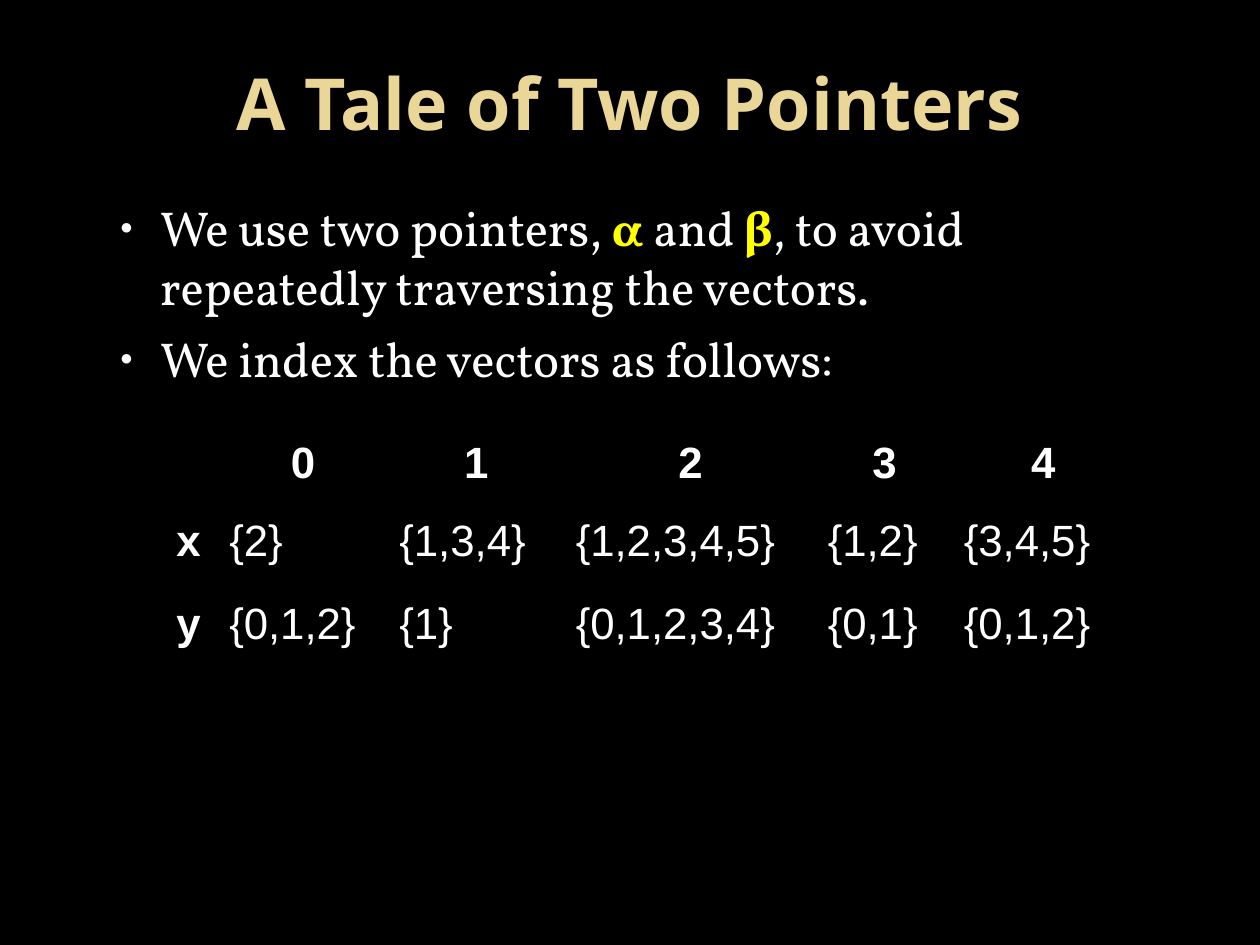
from lxml import etree
from pptx import Presentation
from pptx.dml.color import RGBColor
from pptx.enum.text import MSO_ANCHOR, MSO_AUTO_SIZE, PP_ALIGN
from pptx.oxml.ns import qn
from pptx.util import Pt

MIDDLE, TOP = MSO_ANCHOR.MIDDLE, MSO_ANCHOR.TOP
CENTER, LEFT = PP_ALIGN.CENTER, PP_ALIGN.LEFT
NO_AUTOFIT = MSO_AUTO_SIZE.NONE

# Content: each bullet is a list of (text, is a pointer name)
TITLE = "A Tale of Two Pointers"
BULLETS = [
    [("We use two pointers, ", False), ("α", True), (" and ", False), ("β", True),
     (", to avoid repeatedly traversing the vectors.", False)],
    [("We index the vectors as follows:", False)],
]
VECTORS = [
    ["", "0", "1", "2", "3", "4"],
    ["x", "{2}", "{1,3,4}", "{1,2,3,4,5}", "{1,2}", "{3,4,5}"],
    ["y", "{0,1,2}", "{1}", "{0,1,2,3,4}", "{0,1}", "{0,1,2}"],
]

THEME = {
    "background": "000000", "title": "EAD696", "text": "FFFFFF",
    "pointer": "FFFF00", "bullet": "F9F9F9", "border": "000000",
    "title_font": "Open Sans", "body_font": "Vollkorn", "table_font": "Arial",
    "title_size": 41, "body_size": 28, "table_size": 25,
    "outer_border": 2.25, "inner_border": 1,
}

# Layout in points: left, top, width, height
TITLE_BOX = (54, 12.24, 612, 90)
BODY_BOX = (54, 108, 612, 131.76)
TABLE_ORIGIN = (94.32, 246.24)
COLUMN_WIDTHS = [30.24, 97.2, 100.8, 144, 77.76, 103.68]
ROW_HEIGHTS = [41.04, 47.52, 47.52]


def rgb(name):
    return RGBColor.from_string(THEME[name])


def style_font(font, role, color, bold):
    font.name = THEME[role + "_font"]
    font.size = Pt(THEME[role + "_size"])
    font.color.rgb = rgb(color)
    font.bold = bold


def place(placeholder, box, top_inset, anchor):
    placeholder.left, placeholder.top, placeholder.width, placeholder.height = map(Pt, box)
    frame = placeholder.text_frame
    frame.auto_size, frame.word_wrap, frame.vertical_anchor = NO_AUTOFIT, True, anchor
    frame.margin_left = frame.margin_right = Pt(6.5)
    frame.margin_top, frame.margin_bottom = Pt(top_inset), Pt(3.6)
    return frame


def add_bullet(paragraph):
    props = paragraph._p.get_or_add_pPr()
    props.set("marL", str(Pt(31)))
    props.set("indent", str(Pt(-23)))
    color = etree.SubElement(props, qn("a:buClr"))
    etree.SubElement(color, qn("a:srgbClr"), val=THEME["bullet"])
    etree.SubElement(props, qn("a:buSzPct"), val="45000")
    etree.SubElement(props, qn("a:buChar"), char="●")


def set_borders(cell, row, column):
    on_edge = {
        "a:lnL": column == 0, "a:lnR": column == len(COLUMN_WIDTHS) - 1,
        "a:lnT": row == 0, "a:lnB": row == len(ROW_HEIGHTS) - 1,
    }
    props = cell._tc.get_or_add_tcPr()
    for tag, outer in on_edge.items():
        width = THEME["outer_border" if outer else "inner_border"]
        line = etree.SubElement(props, qn(tag), w=str(Pt(width)))
        fill = etree.SubElement(line, qn("a:solidFill"))
        etree.SubElement(fill, qn("a:srgbClr"), val=THEME["border"])


def fill_cell(cell, row, column, label):
    set_borders(cell, row, column)
    cell.fill.background()
    cell.vertical_anchor = MIDDLE
    cell.margin_left = cell.margin_right = Pt(6.5)
    cell.margin_top, cell.margin_bottom = Pt(1.5), Pt(3.6)
    cell.text_frame.text = label
    paragraph = cell.text_frame.paragraphs[0]
    paragraph.alignment = CENTER if row == 0 else LEFT
    paragraph.line_spacing = 0.93
    style_font(paragraph.font, "table", "text", None)
    for run in paragraph.runs:
        style_font(run.font, "table", "text", row == 0 or column == 0)


def main():
    deck = Presentation()
    deck.slide_width, deck.slide_height = Pt(720), Pt(540)
    slide = deck.slides.add_slide(deck.slide_layouts[1])
    slide.background.fill.solid()
    slide.background.fill.fore_color.rgb = rgb("background")

    # Title
    heading = place(slide.shapes.title, TITLE_BOX, 5.8, MIDDLE)
    heading.text = TITLE
    heading.paragraphs[0].alignment = CENTER
    style_font(heading.paragraphs[0].runs[0].font, "title", "title", True)

    # Bullets
    body = place(slide.placeholders[1], BODY_BOX, 5, TOP)
    for index, pieces in enumerate(BULLETS):
        paragraph = body.add_paragraph() if index else body.paragraphs[0]
        add_bullet(paragraph)
        paragraph.space_before = Pt(7.3 if index else 0)
        for words, is_pointer in pieces:
            run = paragraph.add_run()
            run.text = words
            style_font(run.font, "body", "pointer" if is_pointer else "text", is_pointer)

    # Table of vectors
    size = (sum(COLUMN_WIDTHS), sum(ROW_HEIGHTS))
    table = slide.shapes.add_table(len(ROW_HEIGHTS), len(COLUMN_WIDTHS),
                                   *map(Pt, TABLE_ORIGIN + size)).table
    table.first_row = table.horz_banding = False
    for column, width in zip(table.columns, COLUMN_WIDTHS):
        column.width = Pt(width)
    for row, height in zip(table.rows, ROW_HEIGHTS):
        row.height = Pt(height)
    for r, labels in enumerate(VECTORS):
        for c, label in enumerate(labels):
            fill_cell(table.cell(r, c), r, c, label)

    deck.save("out.pptx")


if __name__ == "__main__":
    main()
